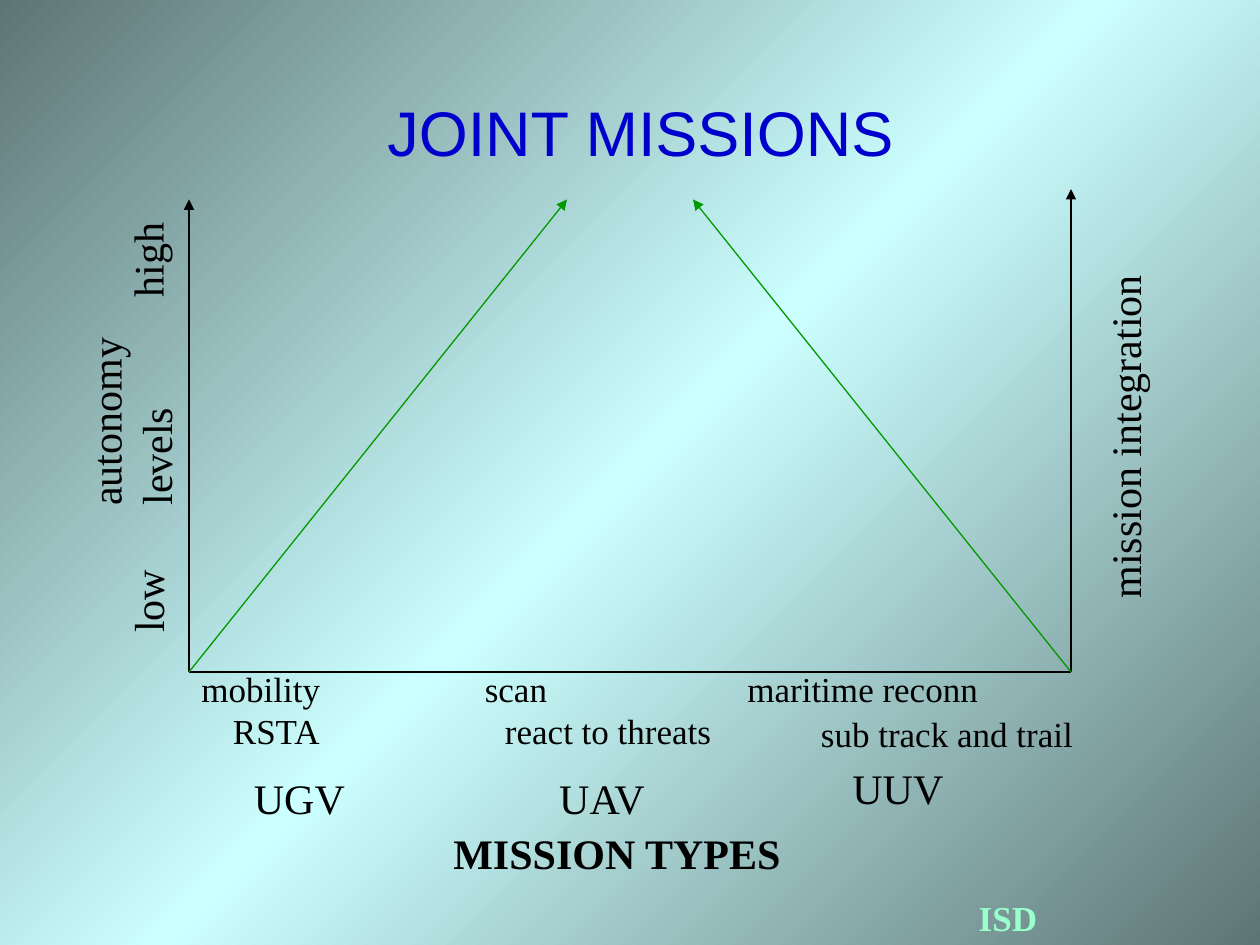
import copy
from dataclasses import dataclass

import pptx
import pptx.dml.color
import pptx.enum.shapes
import pptx.enum.text
import pptx.oxml
import pptx.oxml.ns
import pptx.util

Pt = pptx.util.Pt
SERIF = "Times New Roman"
BLACK, BLUE, GREEN, MINT = "000000", "0000CC", "009900", "99FFCC"
SHADE, GLOW = "5E7575", "CCFFFF"

LEFT_AXIS, RIGHT_AXIS, BASELINE = 108, 612, 384
ARROW_TOP = 114


@dataclass
class Label:
    text: str
    left: float
    top: float
    width: float
    height: float = 36
    size: float = 24
    color: str = BLACK
    font: str = SERIF
    bold: bool = False
    centered: bool = False
    wrap: bool = False
    rotation: float = 0


@dataclass
class Line:
    start: tuple[float, float]
    end: tuple[float, float]
    color: str = BLACK
    arrow: bool = True


LABELS = [
    Label("ISD", 552, 508.5, 48, 31.5, 20, MINT, bold=True, centered=True, wrap=True),
    Label("JOINT MISSIONS", 102, 42, 528, 66, 36, BLUE, "Arial", centered=True, wrap=True),
    Label("autonomy levels", 16.5, 205.5, 116, 65, wrap=True, rotation=270),
    Label("high", 55.5, 130.5, 57, rotation=270),
    Label("low", 59, 325.5, 50.5, wrap=True, rotation=270),
    Label("mission integration", 543, 231.5, 199, rotation=270),
    Label("MISSION TYPES", 252, 469.5, 201.5, bold=True),
    Label("mobility", 108, 378, 82, 31.5, 20),
    Label("RSTA", 126, 402, 65.5, 31.5, 20),
    Label("UGV", 138, 438, 66),
    Label("scan", 270, 378, 50, 31.5, 20),
    Label("react to threats", 281.5, 402, 132.5, 31.5, 20),
    Label("UAV", 312.5, 438, 66),
    Label("maritime reconn", 420, 378, 151, 31.5, 20),
    Label("sub track and trail", 462, 403.5, 165, 33.5, 20, wrap=True),
    Label("UUV", 480, 432, 66),
]

LINES = [
    Line((LEFT_AXIS, BASELINE), (LEFT_AXIS, ARROW_TOP)),
    Line((LEFT_AXIS, BASELINE), (RIGHT_AXIS, BASELINE), arrow=False),
    Line((RIGHT_AXIS, BASELINE), (RIGHT_AXIS, 108)),
    Line((LEFT_AXIS, BASELINE), (324, ARROW_TOP), GREEN),
    Line((RIGHT_AXIS, BASELINE), (396, ARROW_TOP), GREEN),
]


def rgb(color: str) -> pptx.dml.color.RGBColor:
    return pptx.dml.color.RGBColor.from_string(color)


def paint_background(page) -> None:
    """Fill the page with a diagonal gradient, dark in two opposite corners."""
    fill = page.background.fill
    fill.gradient()
    fill.gradient_angle = 135
    stop_list = page.element.xpath(".//p:bg//a:gsLst")[0]
    stop_list.append(copy.deepcopy(stop_list[0]))
    for stop, position, color in zip(fill.gradient_stops, (0, 0.5, 1), (SHADE, GLOW, SHADE)):
        stop.position = position
        stop.color.rgb = rgb(color)


def add_label(page, label: Label) -> None:
    """Add one text box; left-aligned text may run to the box's far edge."""
    box = page.shapes.add_textbox(
        Pt(label.left), Pt(label.top), Pt(label.width), Pt(label.height)
    )
    box.rotation = label.rotation
    frame = box.text_frame
    frame.word_wrap = label.wrap
    para = frame.paragraphs[0]
    if label.centered:
        frame.vertical_anchor = pptx.enum.text.MSO_ANCHOR.MIDDLE
        para.alignment = pptx.enum.text.PP_ALIGN.CENTER
    else:
        frame.vertical_anchor = pptx.enum.text.MSO_ANCHOR.TOP
        para.alignment = pptx.enum.text.PP_ALIGN.LEFT
        frame.margin_right = Pt(0)
    span = para.add_run()
    span.text = label.text
    font_format = {"name": label.font, "size": Pt(label.size), "bold": label.bold}
    for name, value in font_format.items():
        setattr(span.font, name, value)
    span.font.color.rgb = rgb(label.color)


def add_line(page, line: Line) -> None:
    connector = page.shapes.add_connector(
        pptx.enum.shapes.MSO_CONNECTOR.STRAIGHT, *map(Pt, line.start + line.end)
    )
    connector.line.width = Pt(0.75)
    connector.line.color.rgb = rgb(line.color)
    if line.arrow:
        head = pptx.oxml.parse_xml(
            f'<a:tailEnd {pptx.oxml.ns.nsdecls("a")} type="triangle"/>'
        )
        connector.element.spPr.find(pptx.oxml.ns.qn("a:ln")).append(head)
    connector.element.spPr.append(
        pptx.oxml.parse_xml(f'<a:effectLst {pptx.oxml.ns.nsdecls("a")}/>')
    )


def main() -> None:
    deck = pptx.Presentation()
    deck.slide_width, deck.slide_height = Pt(720), Pt(540)
    page = deck.slides.add_slide(deck.slide_layouts[6])
    paint_background(page)
    for line in LINES:
        add_line(page, line)
    for label in LABELS:
        add_label(page, label)
    deck.save("out.pptx")


if __name__ == "__main__":
    main()
